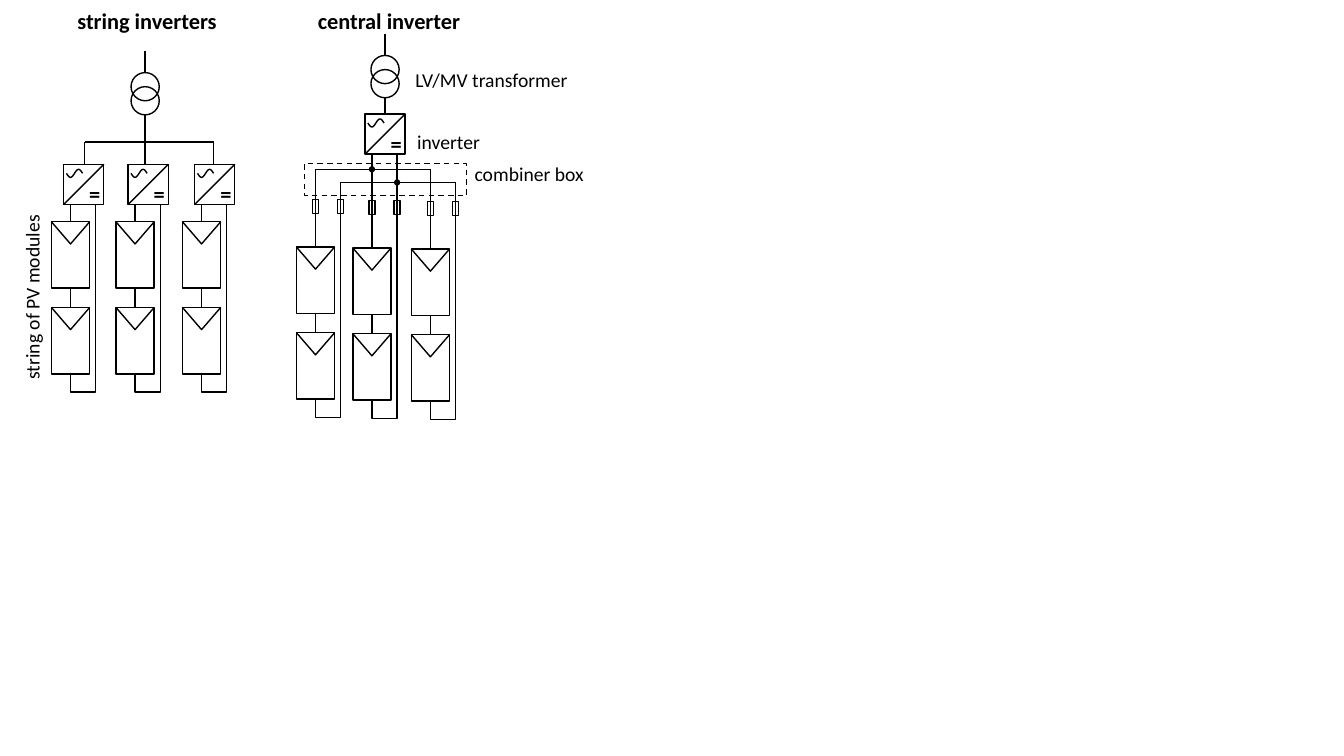
from dataclasses import dataclass
from math import pi, sin

from lxml import etree
from pptx import Presentation
from pptx.dml.color import RGBColor
from pptx.enum.dml import MSO_LINE
from pptx.enum.shapes import MSO_CONNECTOR, MSO_SHAPE
from pptx.enum.text import MSO_AUTO_SIZE, PP_ALIGN
from pptx.oxml.ns import qn
from pptx.util import Inches, Pt

RECTANGLE, OVAL = MSO_SHAPE.RECTANGLE, MSO_SHAPE.OVAL
STRAIGHT, DASH = MSO_CONNECTOR.STRAIGHT, MSO_LINE.DASH
LEFT, CENTER = PP_ALIGN.LEFT, PP_ALIGN.CENTER
FIT_SHAPE = MSO_AUTO_SIZE.SHAPE_TO_FIT_TEXT


@dataclass(frozen=True)
class Theme:
    font: str = "Calibri"
    ink: RGBColor = RGBColor(0, 0, 0)
    heading: Pt = Pt(16)
    label: Pt = Pt(14)
    line: Pt = Pt(1)
    dot_line: Pt = Pt(1.5)


THEME = Theme()

# All lengths below count columns and rows of a square grid.
CELL = Inches(0.1)
PAGE_COLUMNS, PAGE_ROWS = 133.33, 75

MODULE_WIDTH, MODULE_HEIGHT, MODULE_PITCH = 3.8, 6.6, 8.5
FEED, RETURN = 1.9, 4.4  # wire columns, from the left of a string
LOOP_DEPTH = 16.9
INVERTER_SIZE = 4
FUSE_WIDTH, FUSE_HEIGHT, FUSE_RISE = 0.6, 1.4, 4.7
CIRCLE, CIRCLE_STEP = 2.8, 1.4


def grid(*lengths):
    return [round(length * CELL) for length in lengths]


def ink_line(shape, width=THEME.line):
    shape.line.color.rgb = THEME.ink
    shape.line.width = width


def add_outline(page, kind, left, top, width, height):
    shape = page.shapes.add_shape(kind, *grid(left, top, width, height))
    shape.shadow.inherit = False
    shape.fill.background()
    ink_line(shape)
    return shape


def add_wire(page, x1, y1, x2, y2):
    wire = page.shapes.add_connector(STRAIGHT, *grid(x1, y1, x2, y2))
    etree.SubElement(wire._element.spPr, qn("a:effectLst"))
    ink_line(wire)


def add_path(page, *points):
    first, *others = [grid(*point) for point in points]
    builder = page.shapes.build_freeform(*first)
    builder.add_line_segments(others, close=False)
    path = builder.convert_to_shape()
    path.shadow.inherit = False
    path.fill.background()
    ink_line(path)


def add_dot(page, x, y, size=0.4):
    dot = add_outline(page, OVAL, x - size / 2, y - size / 2, size, size)
    dot.fill.solid()
    dot.fill.fore_color.rgb = THEME.ink
    ink_line(dot, THEME.dot_line)


def add_text(page, text, left, top, width, height=3.4,
             size=THEME.label, bold=False, align=CENTER):
    box = page.shapes.add_textbox(*grid(left, top, width, height))
    frame = box.text_frame
    frame.word_wrap = True
    frame.auto_size = FIT_SHAPE
    frame.margin_left = frame.margin_right = 0
    para = frame.paragraphs[0]
    para.text = text
    para.alignment = align
    para.font.name = THEME.font
    para.font.size = size
    para.font.bold = bold
    para.font.color.rgb = THEME.ink
    return box


def add_heading(page, text, center, width=20):
    add_text(page, text, center - width / 2, 0.2, width, 3.7, THEME.heading, True)


def add_transformer(page, center, top, tail):
    """Two overlapping circles, with a wire above and one of length tail below."""
    bottom = top + CIRCLE + CIRCLE_STEP
    for circle_top in (top, top + CIRCLE_STEP):
        add_outline(page, OVAL, center - CIRCLE / 2, circle_top, CIRCLE, CIRCLE)
    add_wire(page, center, top - 2.1, center, top)
    add_wire(page, center, bottom, center, bottom + tail)


def add_inverter(page, left, top):
    right, bottom = left + INVERTER_SIZE, top + INVERTER_SIZE
    add_outline(page, RECTANGLE, left, top, INVERTER_SIZE, INVERTER_SIZE)
    add_wire(page, left, bottom, right, top)
    steps = 16
    add_path(page, *[(left + 0.3 + 1.6 * step / steps,
                      top + 0.9 + 0.4 * sin(2 * pi * step / steps))
                     for step in range(steps + 1)])
    add_text(page, "=", left + 1.5, top + 1.1, 3.2, 3.7, THEME.heading, True)


def add_module(page, left, top):
    add_outline(page, RECTANGLE, left, top, MODULE_WIDTH, MODULE_HEIGHT)
    add_path(page, (left, top), (left + MODULE_WIDTH / 2, top + 2.2),
             (left + MODULE_WIDTH, top))


def add_string(page, left, top, feed_top, return_top):
    """Two modules in series, wired up to feed_top and back to return_top."""
    feed, back = left + FEED, left + RETURN
    second, loop = top + MODULE_PITCH, top + LOOP_DEPTH
    for module_top in (top, second):
        add_module(page, left, module_top)
    add_wire(page, feed, feed_top, feed, top)
    add_wire(page, feed, top + MODULE_HEIGHT, feed, second)
    add_path(page, (back, return_top), (back, loop), (feed, loop),
             (feed, second + MODULE_HEIGHT))


def add_fuses(page, left, top):
    for column in (FEED, RETURN):
        add_outline(page, RECTANGLE, left + column - FUSE_WIDTH / 2,
                    top - FUSE_RISE, FUSE_WIDTH, FUSE_HEIGHT)


def draw_string_inverters(page):
    center, bus, inverter_top = 14.4, 14.1, 16.3
    add_heading(page, "string inverters", 14.6)
    add_transformer(page, center, 7.2, bus - 11.4)
    add_wire(page, 8.4, bus, 21.2, bus)
    for drop in (8.4, center, 21.2):
        add_wire(page, drop, bus, drop, inverter_top)
    inverter_bottom = inverter_top + INVERTER_SIZE
    for left in (5.1, 11.5, 18.1):
        add_inverter(page, left + 1.2, inverter_top)
        add_string(page, left, 22, inverter_bottom, inverter_bottom)
    side_label = add_text(page, "string of PV modules", -9.5, 27.8, 25.4)
    side_label.rotation = 270


def draw_central_inverter(page):
    feed_bus, return_bus, inverter_bottom = 16.8, 18.1, 15.3
    first, middle, last = strings = (29.4, 35, 40.8)
    add_heading(page, "central inverter", 38.6)
    add_transformer(page, 38.2, 5.5, 1.6)
    add_inverter(page, 36.2, inverter_bottom - INVERTER_SIZE)
    combiner = add_outline(page, RECTANGLE, 30.2, 16.2, 16.1, 3.2)
    combiner.line.dash_style = DASH
    for left, top in zip(strings, (24.5, 24.6, 24.7)):
        direct = left == middle
        add_string(page, left, top, inverter_bottom if direct else feed_bus,
                   inverter_bottom if direct else return_bus)
        add_fuses(page, left, top)
    for column, bus in ((FEED, feed_bus), (RETURN, return_bus)):
        add_wire(page, first + column, bus, last + column, bus)
        add_dot(page, middle + column, bus)
    add_text(page, "LV/MV transformer", 41.2, 6.2, 17.5, align=LEFT)
    add_text(page, "inverter", 39.2, 12.4, 10.6)
    add_text(page, "combiner box", 44.4, 15.6, 16.2)


def main():
    deck = Presentation()
    deck.slide_width, deck.slide_height = grid(PAGE_COLUMNS, PAGE_ROWS)
    page = deck.slides.add_slide(deck.slide_layouts[6])
    draw_string_inverters(page)
    draw_central_inverter(page)
    deck.save("out.pptx")


if __name__ == "__main__":
    main()
